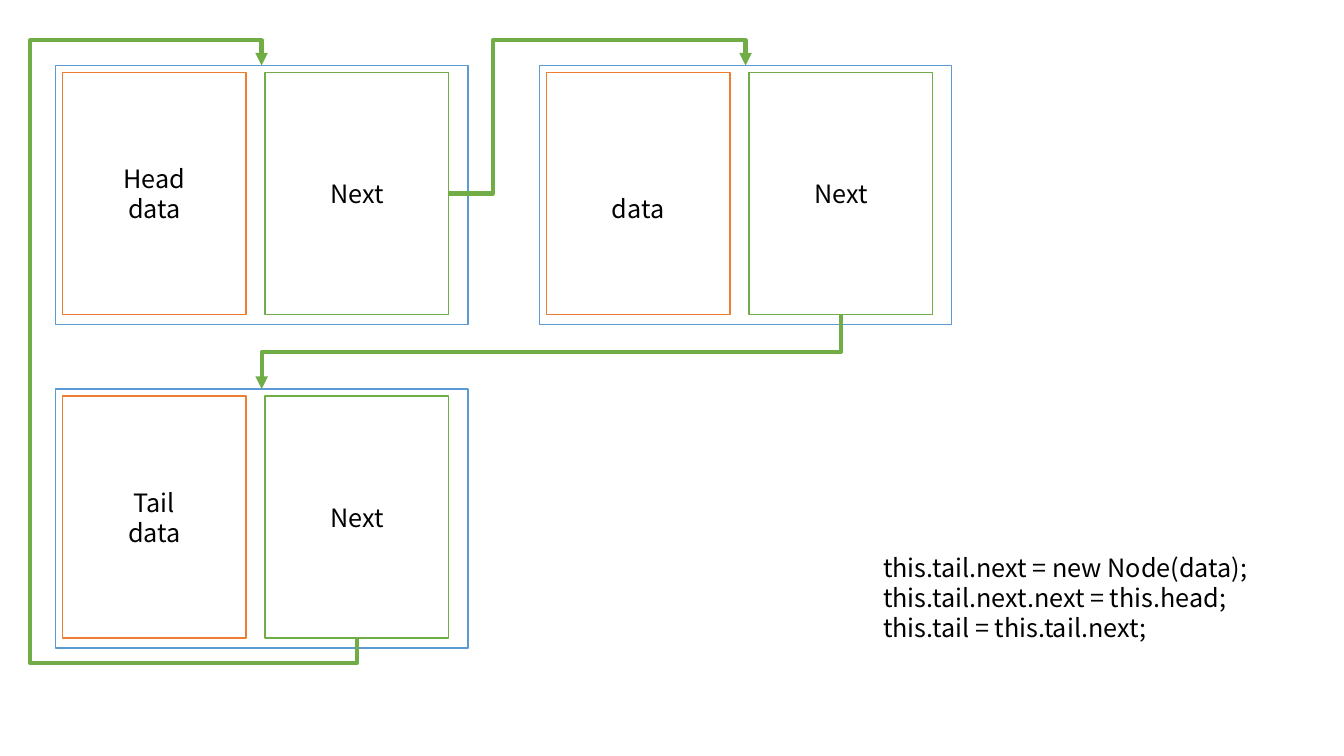
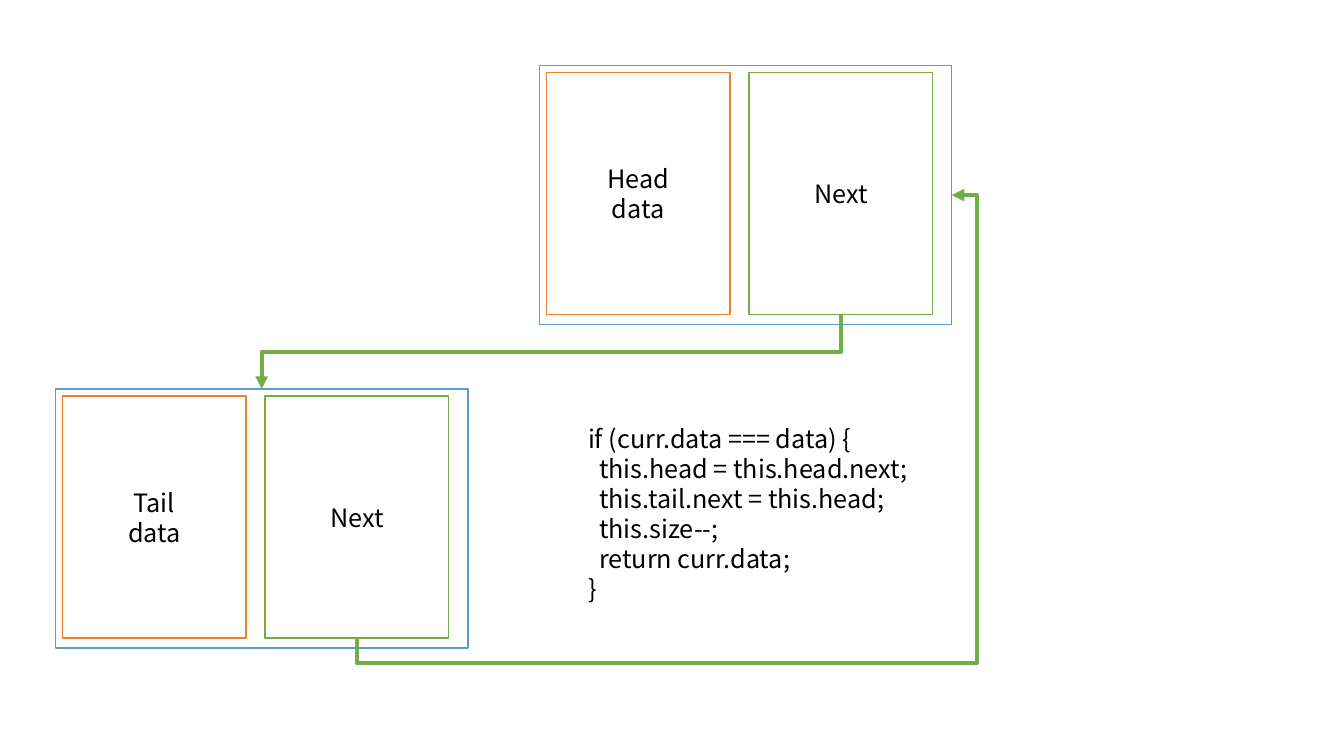
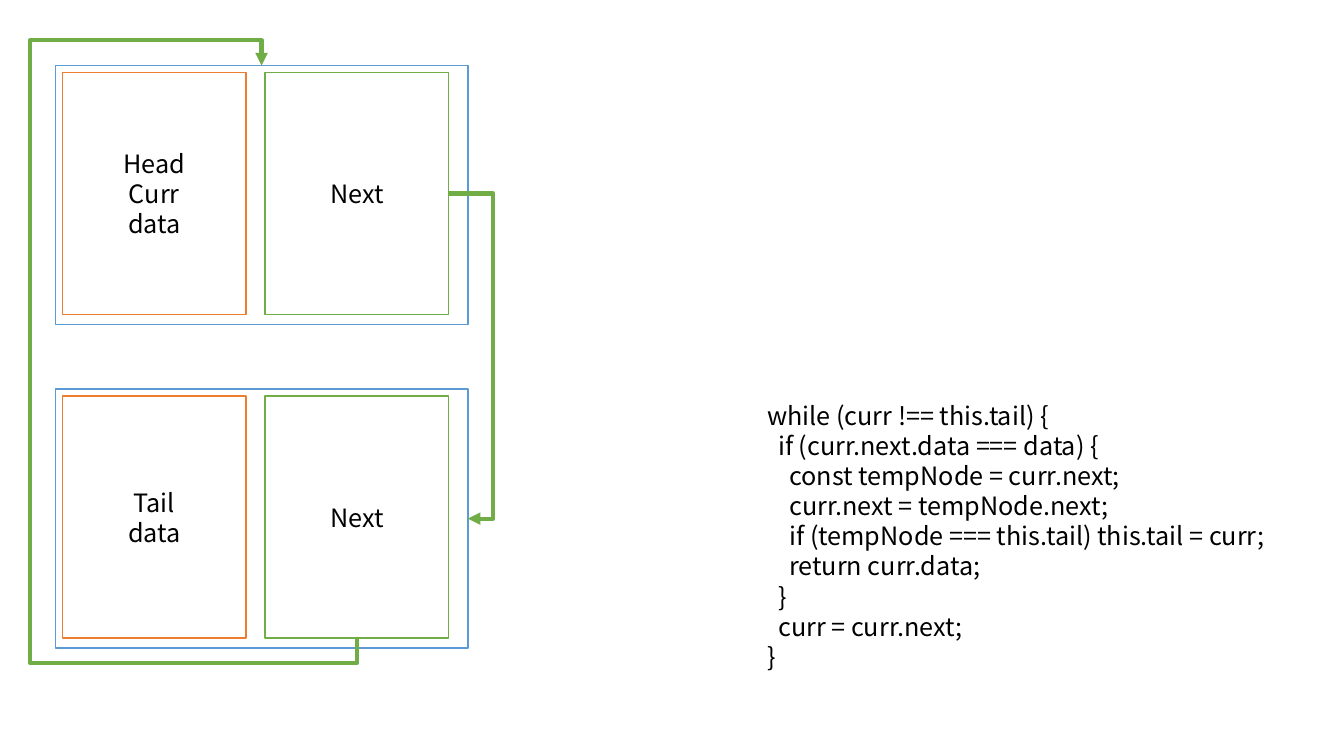
from dataclasses import dataclass
from typing import Any

from lxml.etree import SubElement
from pptx import Presentation
from pptx.dml.color import RGBColor
from pptx.enum.shapes import MSO_CONNECTOR, MSO_SHAPE
from pptx.enum.text import MSO_ANCHOR, PP_ALIGN
from pptx.oxml.ns import qn
from pptx.util import Inches, Pt

# Shared look
WHITE, BLACK = "FFFFFF", "000000"
BLUE, ORANGE, GREEN = "5B9BD5", "ED7D31", "70AD47"
FONT = {"name": "Noto Sans CJK KR", "size": Pt(18)}
LEAD = Pt(21.5)
INSET = Inches(0.05)

# Grid of nodes, in inches
LEFT, TOP = 0.55, 0.65
COL, ROW = 4.8, 3.21
WIDE, HIGH = 4.09, 2.57
CELL_W, CELL_H = 1.82, 2.4
PAD, STEP = 0.07, 2.01
GAP = Inches(0.25)
INDENT = Inches(0.11)

# Connection sites of a rectangle
SITES = {"top": 0, "left": 1, "bottom": 2, "right": 3}


@dataclass
class Node:
    col: int
    row: int
    label: str
    drop: int = 0  # lines left free above the label


@dataclass
class Link:
    start: int
    leave: str
    end: int
    enter: str
    lanes: tuple[str, ...]


@dataclass
class Code:
    col: float
    row: float
    wide: float
    high: float
    text: str


@dataclass
class Page:
    nodes: list[Node]
    links: list[Link]
    code: Code


def apply(item: Any, values: dict[str, Any]) -> None:
    for key, value in values.items():
        setattr(item, key, value)


def tint(color: str) -> RGBColor:
    return RGBColor.from_string(color)


def spot(col: float, row: float) -> tuple[float, float]:
    return LEFT + col * COL, TOP + row * ROW


def write(frame: Any, text: str, align: PP_ALIGN) -> None:
    for i, line in enumerate(text.split("\n")):
        para = frame.paragraphs[0] if i == 0 else frame.add_paragraph()
        apply(para, {"alignment": align, "line_spacing": LEAD})
        words = line.lstrip()
        depth = (len(line) - len(words)) // 2
        if depth:
            para._p.get_or_add_pPr().set("marL", str(INDENT * depth))
        run = para.add_run()
        run.text = words
        apply(run.font, FONT)
        run.font.color.rgb = tint(BLACK)


def box(shapes: Any, x: float, y: float, w: float, h: float, edge: str,
        text: str = "", drop: int = 0) -> Any:
    rect = shapes.add_shape(MSO_SHAPE.RECTANGLE, *map(Inches, (x, y, w, h)))
    rect.shadow.inherit = False
    rect.fill.solid()
    rect.fill.fore_color.rgb = tint(WHITE)
    rect.line.color.rgb = tint(edge)
    rect.line.width = Pt(1)
    if text:
        apply(rect.text_frame, {"vertical_anchor": MSO_ANCHOR.MIDDLE, "word_wrap": True,
                                "margin_top": INSET + drop * LEAD})
        write(rect.text_frame, text, PP_ALIGN.CENTER)
    return rect


def draw_node(slide: Any, node: Node) -> tuple[Any, Any]:
    """Draw a list node; return its frame and its Next cell."""
    x, y = spot(node.col, node.row)
    shapes = slide.shapes.add_group_shape().shapes
    frame = box(shapes, x, y, WIDE, HIGH, BLUE)
    box(shapes, x + PAD, y + PAD, CELL_W, CELL_H, ORANGE, node.label, node.drop)
    cell = box(shapes, x + PAD + STEP, y + PAD, CELL_W, CELL_H, GREEN, "Next")
    return frame, cell


def site(rect: Any, side: str) -> tuple[int, int]:
    x, y = rect.left, rect.top
    w, h = rect.width, rect.height
    return {"top": (x + w // 2, y), "left": (x, y + h // 2),
            "bottom": (x + w // 2, y + h), "right": (x + w, y + h // 2)}[side]


def draw_link(slide: Any, link: Link, parts: list[tuple[Any, Any]]) -> None:
    home, cell = parts[link.start]
    goal = parts[link.end][0]
    a, b = site(cell, link.leave), site(goal, link.enter)
    dx, dy = b[0] - a[0], b[1] - a[1]
    turn = link.leave == "bottom"

    # Lanes run just outside the nodes, or halfway between the two ends
    lane = {"above": goal.top - GAP, "below": cell.top + cell.height + GAP,
            "before": goal.left - GAP, "beside": home.left + home.width + GAP,
            "beyond": goal.left + goal.width + GAP, "halfway": (a[1] + b[1]) // 2}
    bends = []
    for i, name in enumerate(link.lanes):
        axis = (i + turn) % 2
        bends.append((lane[name] - a[axis]) / (b[axis] - a[axis]))

    wire = slide.shapes.add_connector(MSO_CONNECTOR.ELBOW, *a, *b)
    wire.begin_connect(cell, SITES[link.leave])
    wire.end_connect(goal, SITES[link.enter])
    wire.line.color.rgb = tint(GREEN)
    wire.line.width = Pt(3)

    # Place and flip; a wire that leaves downwards is turned by 90 degrees
    w, h = (abs(dy), abs(dx)) if turn else (abs(dx), abs(dy))
    apply(wire, {"left": (a[0] + b[0] - w) // 2, "top": (a[1] + b[1] - h) // 2,
                 "width": w, "height": h})
    props = wire._element.spPr
    form = props.find(qn("a:xfrm"))
    flips = (dy < 0, dx > 0) if turn else (dx < 0, dy < 0)
    for key, flag in zip(("flipH", "flipV"), flips):
        form.set(key, str(int(flag)))
    if turn:
        form.set("rot", "5400000")

    # Bends, arrowhead, no shadow
    geom = props.find(qn("a:prstGeom"))
    geom.set("prst", f"bentConnector{len(bends) + 2}")
    guides = geom.find(qn("a:avLst"))
    for i, bend in enumerate(bends, 1):
        SubElement(guides, qn("a:gd"), name=f"adj{i}", fmla=f"val {round(bend * 100000)}")
    SubElement(props.find(qn("a:ln")), qn("a:tailEnd"), type="triangle")
    SubElement(props, qn("a:effectLst"))


def draw_code(slide: Any, code: Code) -> None:
    x, y = spot(code.col, code.row)
    area = slide.shapes.add_textbox(*map(Inches, (x, y, code.wide * COL, code.high * ROW)))
    area.text_frame.word_wrap = True
    write(area.text_frame, code.text, PP_ALIGN.LEFT)


# Parts that recur
TAIL = Node(0, 1, "Tail\ndata")
LOOP = ("below", "before", "above")

ADD = """this.tail.next = new Node(data);
this.tail.next.next = this.head;
this.tail = this.tail.next;"""

DROP_HEAD = """if (curr.data === data) {
  this.head = this.head.next;
  this.tail.next = this.head;
  this.size--;
  return curr.data;
}"""

DROP_NEXT = """while (curr !== this.tail) {
  if (curr.next.data === data) {
    const tempNode = curr.next;
    curr.next = tempNode.next;
    if (tempNode === this.tail) this.tail = curr;
    return curr.data;
  }
  curr = curr.next;
}"""

PAGES = [
    Page([Node(0, 0, "Head\ndata"), Node(1, 0, "data", drop=1), TAIL],
         [Link(0, "right", 1, "top", ("beside", "above")),
          Link(1, "bottom", 2, "top", ("halfway",)),
          Link(2, "bottom", 0, "top", LOOP)],
         Code(1.69, 1.49, 0.81, 0.31, ADD)),
    Page([Node(1, 0, "Head\ndata"), TAIL],
         [Link(0, "bottom", 1, "top", ("halfway",)),
          Link(1, "bottom", 0, "right", ("below", "beyond"))],
         Code(1.08, 1.09, 0.74, 0.6, DROP_HEAD)),
    Page([Node(0, 0, "Head\nCurr\ndata"), TAIL],
         [Link(0, "right", 1, "right", ("beside",)),
          Link(1, "bottom", 0, "top", LOOP)],
         Code(1.45, 1.02, 1.15, 0.88, DROP_NEXT)),
]


def main() -> None:
    deck = Presentation()
    apply(deck, {"slide_width": Inches(13.33), "slide_height": Inches(7.5)})
    for page in PAGES:
        slide = deck.slides.add_slide(deck.slide_layouts[6])
        parts = [draw_node(slide, node) for node in page.nodes]
        for link in page.links:
            draw_link(slide, link, parts)
        draw_code(slide, page.code)
    deck.save("out.pptx")


main()
